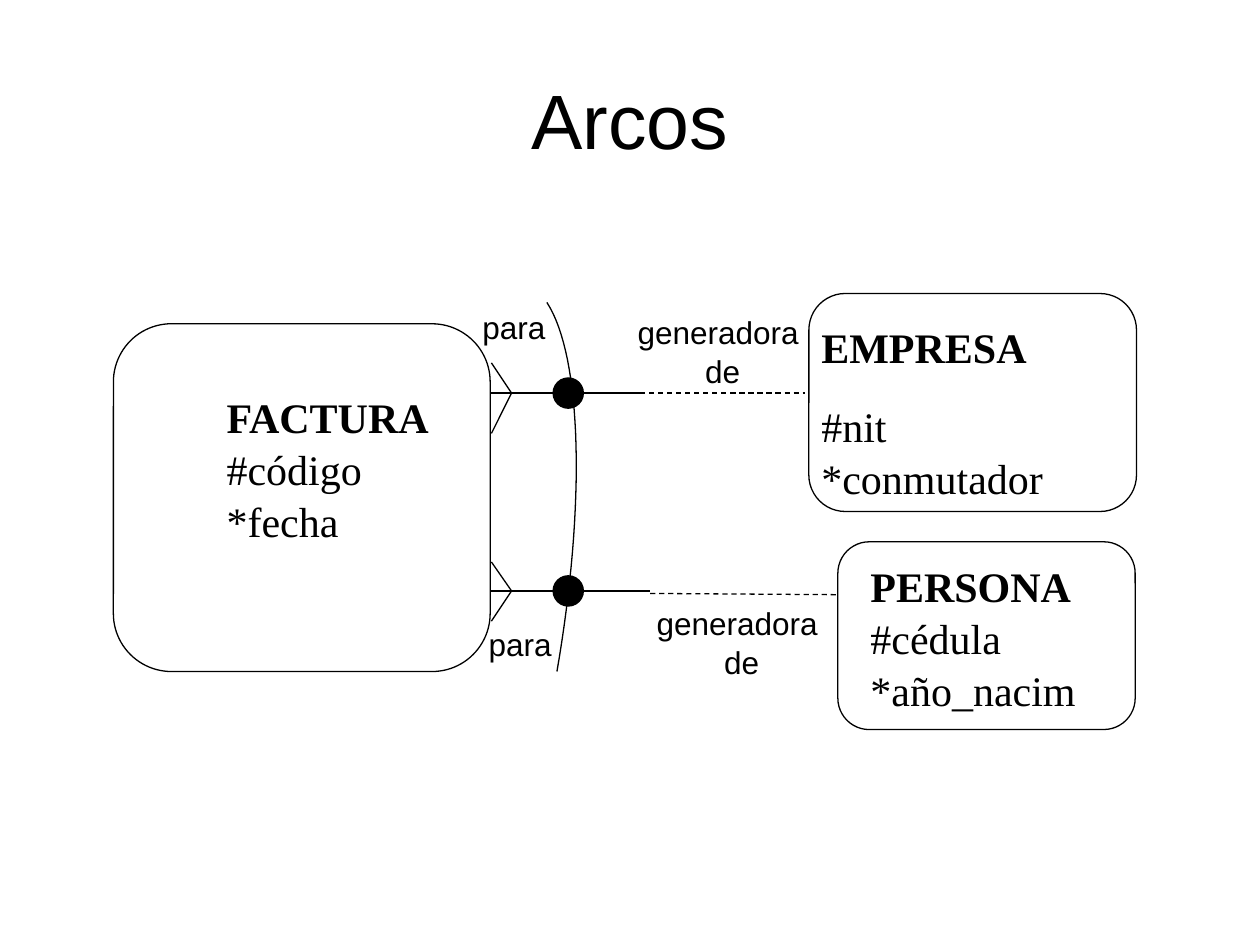
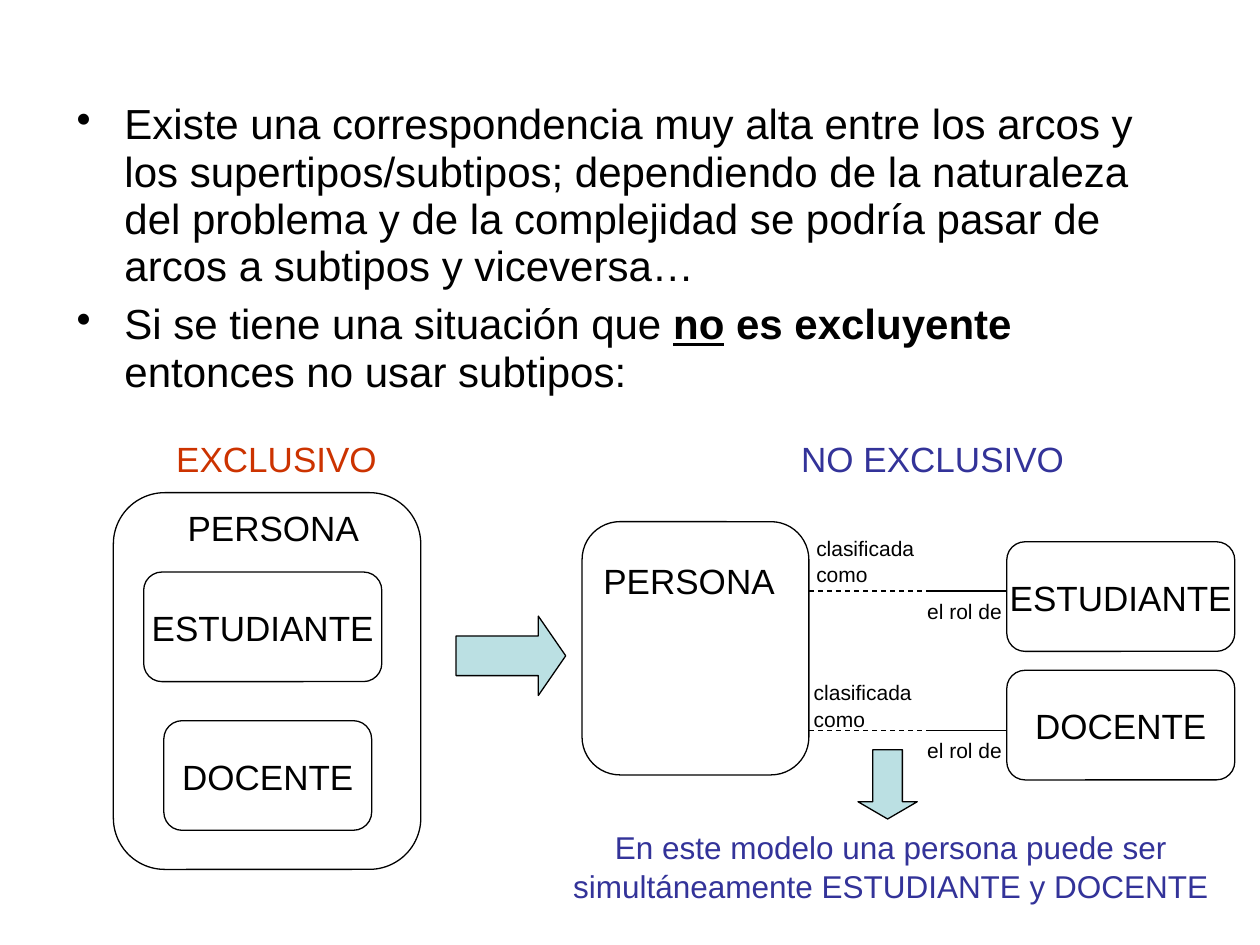
from dataclasses import dataclass

import pptx
import pptx.dml.color
import pptx.enum.dml
import pptx.enum.shapes
import pptx.enum.text
import pptx.oxml
import pptx.oxml.ns
import pptx.util

PX = 9144  # 100 px to the inch
COLORS = {"ink": "000000", "blue": "333399", "red": "CC3300", "arrow": "BBE0E3"}
SANS, SERIF = "Arial", "Times New Roman"
LINE_SPACING = 1.045
CORNER = 0.167
SHAPES = pptx.enum.shapes.MSO_SHAPE
ALIGN = pptx.enum.text.PP_ALIGN
ANCHOR = pptx.enum.text.MSO_ANCHOR

Box = tuple[int, int, int, int]


@dataclass(frozen=True)
class Run:
    text: str
    bold: bool = False
    underline: bool = False


@dataclass(frozen=True)
class Entity:
    box: Box
    label: str = ""


@dataclass(frozen=True)
class Segment:
    start: tuple[int, int]
    end: tuple[int, int]
    dashed: bool = False


@dataclass(frozen=True)
class Relation:
    """One branch of the arc between the invoice and another entity."""
    y: int
    claw_top: int
    claw_bottom: int
    joint: int
    far_start: int
    far_end: tuple[int, int]
    near_label: Box
    far_label: Box


def color(name: str) -> pptx.dml.color.RGBColor:
    return pptx.dml.color.RGBColor.from_string(COLORS[name])


def emu(values) -> list[int]:
    return [value * PX for value in values]


def write(frame, paragraphs, *, size=18, font=SANS, ink="ink", align=ALIGN.LEFT,
          anchor=ANCHOR.TOP, wrap=False, space_before=0,
          line_spacing=LINE_SPACING, bullet=False) -> None:
    """Fill a text frame; each paragraph is a string or a list of runs."""
    frame.word_wrap = wrap
    frame.vertical_anchor = anchor
    for index, content in enumerate(paragraphs):
        paragraph = frame.add_paragraph() if index else frame.paragraphs[0]
        paragraph.alignment = align
        paragraph.line_spacing = line_spacing
        paragraph.space_before = pptx.util.Pt(space_before if index else 0)
        if bullet:
            properties = paragraph._p.get_or_add_pPr()
            properties.set("marL", str(38 * PX))
            properties.set("indent", str(-38 * PX))
            mark = pptx.oxml.parse_xml(
                f'<a:buChar {pptx.oxml.ns.nsdecls("a")} char="•"/>')
            properties.append(mark)
        for part in [Run(content)] if isinstance(content, str) else content:
            for number, line in enumerate(part.text.split("\n")):
                if number:
                    paragraph.add_line_break()
                run = paragraph.add_run()
                run.text = line
                run.font.name = font
                run.font.size = pptx.util.Pt(size)
                run.font.bold = part.bold
                run.font.underline = part.underline
                run.font.color.rgb = color(ink)


def add_text(slide, box: Box, paragraphs, **text_format) -> None:
    write(slide.shapes.add_textbox(*emu(box)).text_frame, paragraphs, **text_format)


def outline(shape, fill: str | None = None) -> None:
    shape.shadow.inherit = False
    shape.line.color.rgb = color("ink")
    shape.line.width = pptx.util.Pt(0.75)
    if fill:
        shape.fill.solid()
        shape.fill.fore_color.rgb = color(fill)
    else:
        shape.fill.background()


def add_shape(slide, kind, box: Box, fill: str | None = None, adjustments=()):
    shape = slide.shapes.add_shape(kind, *emu(box))
    for index, value in enumerate(adjustments):
        shape.adjustments[index] = value
    outline(shape, fill)
    return shape


def add_entity(slide, entity: Entity) -> None:
    shape = add_shape(slide, SHAPES.ROUNDED_RECTANGLE, entity.box, adjustments=[CORNER])
    if entity.label:
        write(shape.text_frame, [entity.label], size=20, align=ALIGN.CENTER,
              anchor=ANCHOR.MIDDLE)


def add_segment(slide, segment: Segment) -> None:
    connector = slide.shapes.add_connector(
        pptx.enum.shapes.MSO_CONNECTOR.STRAIGHT, *emu(segment.start + segment.end))
    connector.line.color.rgb = color("ink")
    connector.line.width = pptx.util.Pt(0.75)
    if segment.dashed:
        connector.line.dash_style = pptx.enum.dml.MSO_LINE.DASH
    connector._element.spPr.append(
        pptx.oxml.parse_xml(f'<a:effectLst {pptx.oxml.ns.nsdecls("a")}/>'))


def add_curve(slide, controls, steps: int = 32) -> None:
    """Draw an open cubic curve through its four control points."""
    def point(t: float) -> tuple[int, int]:
        weights = ((1 - t) ** 3, 3 * t * (1 - t) ** 2, 3 * t * t * (1 - t), t ** 3)
        return tuple(round(PX * sum(w * c[axis] for w, c in zip(weights, controls)))
                     for axis in (0, 1))

    points = [point(step / steps) for step in range(steps + 1)]
    builder = slide.shapes.build_freeform(*points[0])
    builder.add_line_segments(points[1:], close=False)
    outline(builder.convert_to_shape())


def add_relation(slide, relation: Relation) -> None:
    edge, tip, y = 390, 406, relation.y
    for segment in (
        Segment((edge, y), (relation.joint, y)),
        Segment((edge, relation.claw_top), (tip, y)),
        Segment((tip, y), (edge, relation.claw_bottom)),
        Segment((relation.joint, relation.far_start), relation.far_end, dashed=True),
    ):
        add_segment(slide, segment)
    add_shape(slide, SHAPES.OVAL, (439, y - 12, 24, 24), "ink")
    add_text(slide, relation.near_label, ["para"])
    add_text(slide, relation.far_label, ["generadora ", "de"], align=ALIGN.CENTER)


def build_arcs(slide) -> None:
    add_text(slide, (50, 30, 900, 125), ["Arcos"], size=44, align=ALIGN.CENTER,
             anchor=ANCHOR.MIDDLE, wrap=True)

    # Entities and their attributes
    for box in ((90, 257, 299, 276), (642, 233, 260, 173), (665, 430, 236, 149)):
        add_entity(slide, Entity(box))
    add_text(slide, (170, 304, 183, 170),
             [[Run("FACTURA", bold=True)], "#código", "*fecha"], size=24, font=SERIF)
    add_text(slide, (642, 249, 291, 151),
             [[Run("EMPRESA", bold=True)], "#nit\n*conmutador"],
             size=24, font=SERIF, wrap=True, space_before=15)
    add_text(slide, (681, 438, 221, 170),
             [[Run("PERSONA", bold=True)], "#cédula", "*año_nacim"],
             size=24, font=SERIF, wrap=True)

    # Exclusive arc across both relations
    add_curve(slide, [(434, 240), (462, 283), (465, 400), (442, 533)])
    for relation in (
        Relation(312, 288, 344, 508, 312, (639, 312),
                 (373, 238, 70, 40), (496, 242, 155, 70)),
        Relation(469, 446, 493, 516, 471, (665, 472),
                 (378, 490, 70, 40), (511, 473, 155, 70)),
    ):
        add_relation(slide, relation)


def build_subtypes(slide) -> None:
    add_text(slide, (51, 76, 900, 284), [
        "Existe una correspondencia muy alta entre los arcos y los supertipos/subtipos; "
        "dependiendo de la naturaleza del problema y de la complejidad se podría pasar "
        "de arcos a subtipos y viceversa…",
        [Run("Si se tiene una situación que "), Run("no", bold=True, underline=True),
         Run(" es excluyente", bold=True), Run(" entonces no usar subtipos:")],
    ], size=24, wrap=True, space_before=6, line_spacing=0.94, bullet=True)

    # Headings and supertype names
    for box, label, ink in (
        ((130, 341, 179, 44), "EXCLUSIVO", "red"),
        ((626, 341, 229, 44), "NO EXCLUSIVO", "blue"),
        ((139, 396, 156, 44), "PERSONA", "ink"),
        ((469, 438, 156, 44), "PERSONA", "ink"),
    ):
        add_text(slide, box, [label], size=20, ink=ink)

    # Nested subtypes on the left, related entities on the right
    for entity in (
        Entity((90, 391, 244, 299)),
        Entity((114, 454, 189, 87), "ESTUDIANTE"),
        Entity((130, 572, 165, 87), "DOCENTE"),
        Entity((462, 414, 180, 201)),
        Entity((799, 430, 181, 87), "ESTUDIANTE"),
        Entity((799, 532, 181, 87), "DOCENTE"),
    ):
        add_entity(slide, entity)

    # Relations, dashed on the optional half
    for y, label_left, label_top in ((469, 638, 419), (580, 636, 534)):
        add_segment(slide, Segment((642, y), (736, y), dashed=True))
        add_segment(slide, Segment((736, y), (799, y)))
        add_text(slide, (label_left, label_top, 112, 50), ["clasificada", "como"],
                 size=12, wrap=True)
        add_text(slide, (726, y, 112, 30), ["el rol de"], size=12, wrap=True)

    # Block arrows and conclusion
    add_shape(slide, SHAPES.RIGHT_ARROW, (362, 489, 87, 63), "arrow", (0.5, 0.345))
    add_shape(slide, SHAPES.DOWN_ARROW, (681, 595, 47, 55), "arrow", (0.5, 0.291))
    add_text(slide, (445, 651, 524, 70),
             ["En este modelo una persona puede ser",
              "simultáneamente ESTUDIANTE y DOCENTE"],
             ink="blue", align=ALIGN.CENTER)


def main() -> None:
    presentation = pptx.Presentation()
    presentation.slide_width, presentation.slide_height = emu((1000, 750))
    blank = presentation.slide_layouts[6]
    for build in (build_arcs, build_subtypes):
        build(presentation.slides.add_slide(blank))
    presentation.save("out.pptx")


if __name__ == "__main__":
    main()
